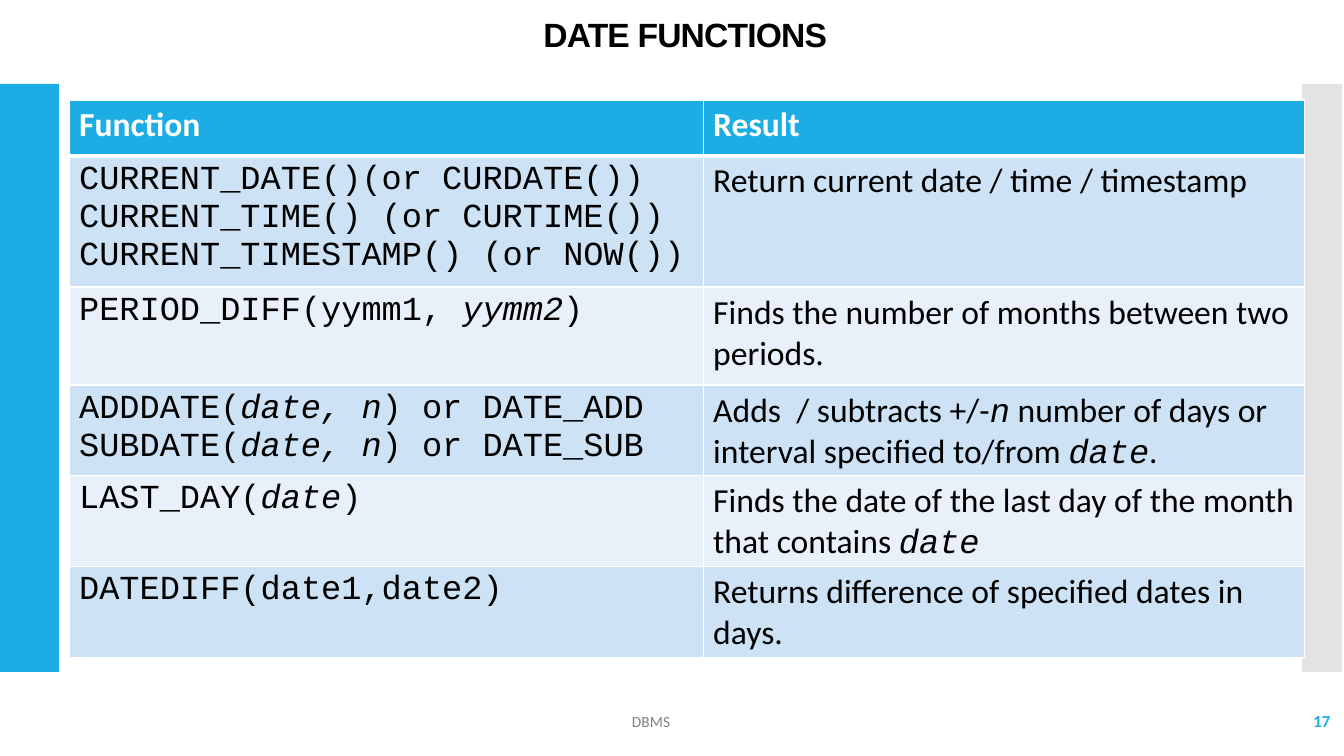
from lxml import etree
from pptx import Presentation
from pptx import util as u
from pptx.dml.color import RGBColor
from pptx.enum import shapes, text
from pptx.oxml import ns

BLUE = RGBColor(0x1C, 0xAD, 0xE4)
GREY = RGBColor(0xC8, 0xC8, 0xC8)
DARK_GREY = RGBColor(0x80, 0x80, 0x80)
BLACK = RGBColor(0, 0, 0)
WHITE = RGBColor(255, 255, 255)
BANDS = (RGBColor(0xCD, 0xE3, 0xF5), RGBColor(0xE8, 0xF1, 0xFA))

HEADER = ("Function", "Result")
FUNCTIONS = [
    ("CURRENT_DATE()(or CURDATE()) CURRENT_TIME() (or CURTIME())\n"
     "CURRENT_TIMESTAMP() (or NOW())",
     "Return current date / time / timestamp"),
    ("PERIOD_DIFF(yymm1, *yymm2*)",
     "Finds the number of months between two periods."),
    ("ADDDATE(*date, n*) or DATE_ADD\nSUBDATE(*date, n*) or DATE_SUB",
     "Adds  / subtracts +/-*n* number of days or interval specified to/from *date*."),
    ("LAST_DAY(*date*)",
     "Finds the date of the last day of the month that contains *date*"),
    ("DATEDIFF(date1,date2)",
     "Returns difference of specified dates in days."),
]
COLUMN_WIDTHS = (634, 601)
ROW_HEIGHTS = (56, 128, 98, 90, 90, 90)


class SlideBuilder:
    """Draw styled elements on one slide, with lengths in px."""

    SCALE = 9071
    BODY = "Calibri"
    CODE = "Courier New"

    def __init__(self, presentation):
        self.slide = presentation.slides.add_slide(presentation.slide_layouts[6])

    def px(self, *lengths):
        return [u.Emu(length * self.SCALE) for length in lengths]

    def bar(self, box, color, opacity=100):
        shape = self.slide.shapes.add_shape(
            shapes.MSO_SHAPE.RECTANGLE, *self.px(*box))
        shape.shadow.inherit = False
        shape.fill.solid()
        shape.fill.fore_color.rgb = color
        shape.line.fill.background()
        if opacity < 100:
            tint = shape._element.spPr.find(".//" + ns.qn("a:srgbClr"))
            etree.SubElement(tint, ns.qn("a:alpha"), val=str(opacity * 1000))

    def add_runs(self, paragraph, content, color, **style):
        """Add runs to a paragraph; asterisks enclose italic code."""
        for index, part in enumerate(content.split("*")):
            if not part:
                continue
            run = paragraph.add_run()
            run.text = part
            run.font.color.rgb = color
            italic = {"name": self.CODE, "italic": True} if index % 2 else {}
            for name, value in {**style, **italic}.items():
                setattr(run.font, name, value)

    def label(self, box, content, color, align, anchor, spacing=0, **style):
        frame = self.slide.shapes.add_textbox(*self.px(*box)).text_frame
        frame.word_wrap = True
        frame.vertical_anchor = anchor
        paragraph = frame.paragraphs[0]
        paragraph.alignment = align
        self.add_runs(paragraph, content, color, **style)
        if spacing:
            paragraph.line_spacing = 0.9
            paragraph.runs[0]._r.get_or_add_rPr().set("spc", str(spacing))

    def borders(self, cell, row):
        """Give a cell white edges, thick between the header and the body."""
        properties = cell._tc.get_or_add_tcPr()
        thick = {0: "lnB", 1: "lnT"}.get(row)
        for index, edge in enumerate(("lnL", "lnR", "lnT", "lnB")):
            width = u.Pt(3 if edge == thick else 1)
            line = etree.Element(ns.qn("a:" + edge), w=str(width))
            fill = etree.SubElement(line, ns.qn("a:solidFill"))
            etree.SubElement(fill, ns.qn("a:srgbClr"), val=str(WHITE))
            properties.insert(index, line)

    def cell(self, cell, row, content, fill, color, **style):
        cell.fill.solid()
        cell.fill.fore_color.rgb = fill
        self.borders(cell, row)
        frame = cell.text_frame
        for index, line in enumerate(content.split("\n")):
            paragraph = frame.add_paragraph() if index else frame.paragraphs[0]
            self.add_runs(paragraph, line, color, size=u.Pt(24), **style)

    def table(self, left, top, widths, heights, header, rows):
        box = self.px(left, top, sum(widths), sum(heights))
        table = self.slide.shapes.add_table(
            len(heights), len(widths), *box).table
        for column, width in zip(table.columns, self.px(*widths)):
            column.width = width
        for row, height in zip(table.rows, self.px(*heights)):
            row.height = height
        for column, title in enumerate(header):
            self.cell(table.cell(0, column), 0, title, BLUE, WHITE,
                      name=self.BODY, bold=True)
        for row, contents in enumerate(rows, 1):
            for column, content in enumerate(contents):
                self.cell(table.cell(row, column), row, content,
                          BANDS[(row - 1) % 2], BLACK, bold=False,
                          name=self.BODY if column else self.CODE)


def main():
    presentation = Presentation()
    presentation.slide_width = u.Inches(13.33)
    presentation.slide_height = u.Inches(7.5)
    builder = SlideBuilder(presentation)
    align, anchor = text.PP_ALIGN, text.MSO_ANCHOR
    builder.bar((0, 84, 59, 588), BLUE)
    builder.bar((1302, 84, 40, 588), GREY, opacity=50)
    builder.label((159, 14, 1052, 40), "DATE FUNCTIONS", BLACK, align.CENTER,
                  anchor.TOP, spacing=-60, name="Arial", size=u.Pt(24), bold=True)
    builder.label((332, 702, 638, 39), "DBMS", DARK_GREY, align.CENTER,
                  anchor.MIDDLE, name=builder.BODY, size=u.Pt(11))
    builder.label((1172, 701, 168, 40), "17", BLUE, align.RIGHT,
                  anchor.MIDDLE, name=builder.BODY, size=u.Pt(12), bold=True)
    builder.table(69, 100, COLUMN_WIDTHS, ROW_HEIGHTS, HEADER, FUNCTIONS)
    presentation.save("out.pptx")


if __name__ == "__main__":
    main()
